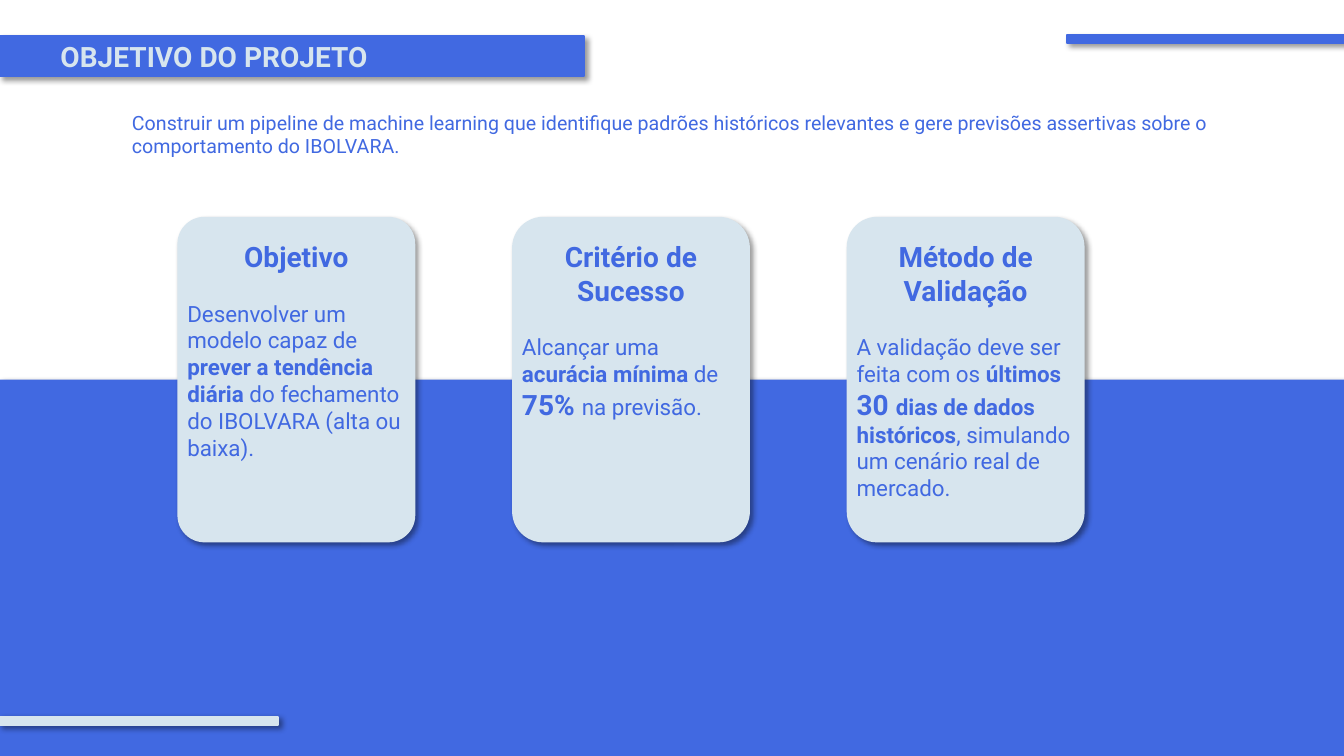
"""Build the project goal slide: a title bar, an intro line and three cards."""
from lxml.etree import SubElement
from pptx import Presentation
from pptx.dml.color import RGBColor
from pptx.enum.shapes import MSO_SHAPE
from pptx.enum.text import MSO_ANCHOR, MSO_AUTO_SIZE, PP_ALIGN
from pptx.oxml.ns import qn
from pptx.util import Inches, Pt

TITLE = "OBJETIVO DO PROJETO"
INTRO = ("Construir um pipeline de machine learning que identifique padrões históricos "
         "relevantes e gere previsões assertivas sobre o comportamento do IBOLVARA.")
CARDS = [
    ("Objetivo", 0.114, 30.93, [
        ("Desenvolver um modelo capaz de ", False, 16),
        ("prever a tendência diária ", True, 16),
        ("do fechamento do IBOLVARA (alta ou baixa).", False, 16)]),
    ("Critério de Sucesso", 0.131, 25.6, [
        ("Alcançar uma ", False, 16),
        ("acurácia mínima ", True, 16),
        ("de ", False, 16),
        ("75% ", True, 20),
        ("na previsão.", False, 16)]),
    ("Método de Validação", 0.127, 36.4, [
        ("A validação deve ser feita com os ", False, 16),
        ("últimos ", True, 16),
        ("30 ", True, 20),
        ("dias de dados históricos", True, 16),
        (", simulando um cenário real de mercado.", False, 16)]),
]
COLORS = {"blue": "4169E1", "pale": "D7E5EE", "shade": "000000"}
WIDTH, HEIGHT = Inches(13.33), Inches(7.5)
BASE = (0, 50.2, 100, 49.8)
BAR = (0, 4.8, 43.43, 5.2)
STRIPS = [(79.37, 4.67, 20.7, 1.07, "blue"), (0, 94.8, 20.7, 1.07, "pale")]
LEAD = (9.08, 14, 86.12, 7.6)
LEFT, STEP, WIDE = 13.2, 24.9, 17.7
TOP, TALL, HEAD = 28.67, 43.07, 31.07


def rgb(name):
    return RGBColor.from_string(COLORS[name])


def place(left, top, width, height):
    """Turn shares of the slide, in percent, into lengths."""
    sides = (WIDTH, HEIGHT, WIDTH, HEIGHT)
    return [round(share * side / 100) for share, side in zip((left, top, width, height), sides)]


def paint(shape, color, line=True):
    """Set the fill, the outline and the soft shadow."""
    shape.fill.solid()
    shape.fill.fore_color.rgb = rgb(color)
    if line:
        shape.line.color.rgb = rgb(color)
        shape.line.width = Pt(1.5)
    else:
        shape.line.fill.background()
    shape.shadow.inherit = False
    effects = shape._element.spPr.find(qn("a:effectLst"))
    drop = SubElement(effects, qn("a:outerShdw"), blurRad=str(Pt(4)), dist=str(Pt(3)),
                      dir="2700000", algn="tl", rotWithShape="0")
    tint = SubElement(drop, qn("a:srgbClr"), val=COLORS["shade"])
    SubElement(tint, qn("a:alpha"), val="40000")


def block(shapes, kind, box, color, line=True):
    shape = shapes.add_shape(kind, *place(*box))
    paint(shape, color, line)
    return shape


def write(para, text, size, bold=False, color="blue"):
    run = para.add_run()
    run.text = text
    look = {"name": "Roboto", "size": Pt(size), "bold": bold}
    for key, value in look.items():
        setattr(run.font, key, value)
    run.font.color.rgb = rgb(color)


def textbox(shapes, box):
    frame = shapes.add_textbox(*place(*box)).text_frame
    frame.word_wrap = True
    frame.auto_size = MSO_AUTO_SIZE.SHAPE_TO_FIT_TEXT
    return frame


def heading(title):
    spots = zip(("left", "top", "width", "height"), place(*BAR))
    for key, value in spots:
        setattr(title, key, value)
    paint(title, "blue")
    look = {"margin_left": Inches(0.6), "word_wrap": True,
            "auto_size": MSO_AUTO_SIZE.NONE, "vertical_anchor": MSO_ANCHOR.MIDDLE}
    for key, value in look.items():
        setattr(title.text_frame, key, value)
    para = title.text_frame.paragraphs[0]
    para.alignment = PP_ALIGN.LEFT
    write(para, TITLE, 20, True, "pale")


def card(shapes, left, name, curve, height, parts):
    group = shapes.add_group_shape().shapes
    panel = block(group, MSO_SHAPE.ROUNDED_RECTANGLE, (left, TOP, WIDE, TALL), "pale", False)
    panel.adjustments[0] = curve
    frame = textbox(group, (left, HEAD, WIDE, height))
    head = frame.paragraphs[0]
    head.alignment = PP_ALIGN.CENTER
    write(head, name, 20, True)
    body = frame.add_paragraph()
    body.space_before = Pt(18.75)
    for text, bold, size in parts:
        write(body, text, size, bold)


def main():
    deck = Presentation()
    deck.slide_width, deck.slide_height = WIDTH, HEIGHT
    slide = deck.slides.add_slide(deck.slide_layouts[5])
    shapes = slide.shapes
    heading(shapes.title)
    block(shapes, MSO_SHAPE.RECTANGLE, BASE, "blue", False)
    for *box, color in STRIPS:
        block(shapes, MSO_SHAPE.RECTANGLE, box, color)
    for index, entry in enumerate(CARDS):
        card(shapes, LEFT + index * STEP, *entry)
    write(textbox(shapes, LEAD).paragraphs[0], INTRO, 14)
    deck.save("out.pptx")


if __name__ == "__main__":
    main()
